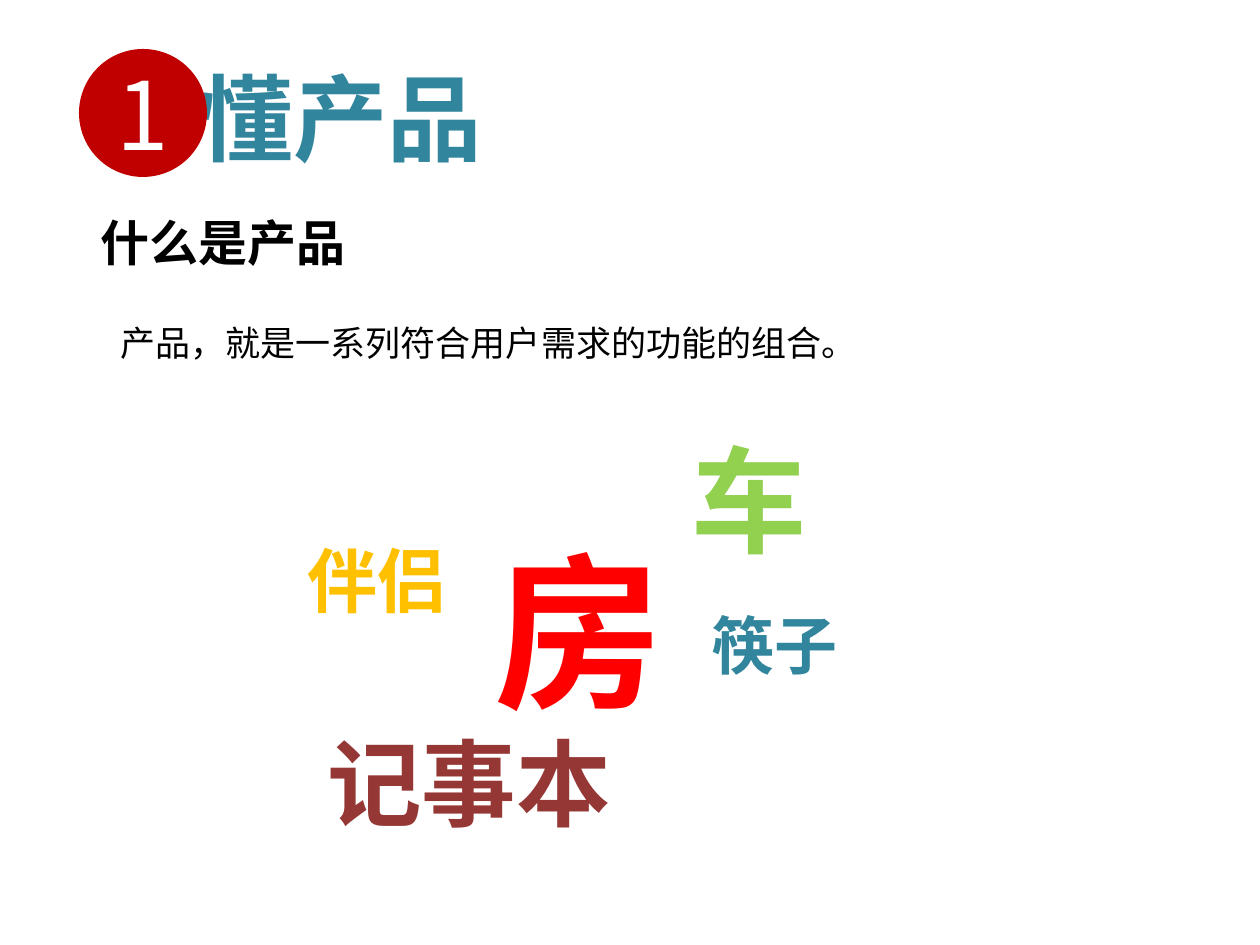
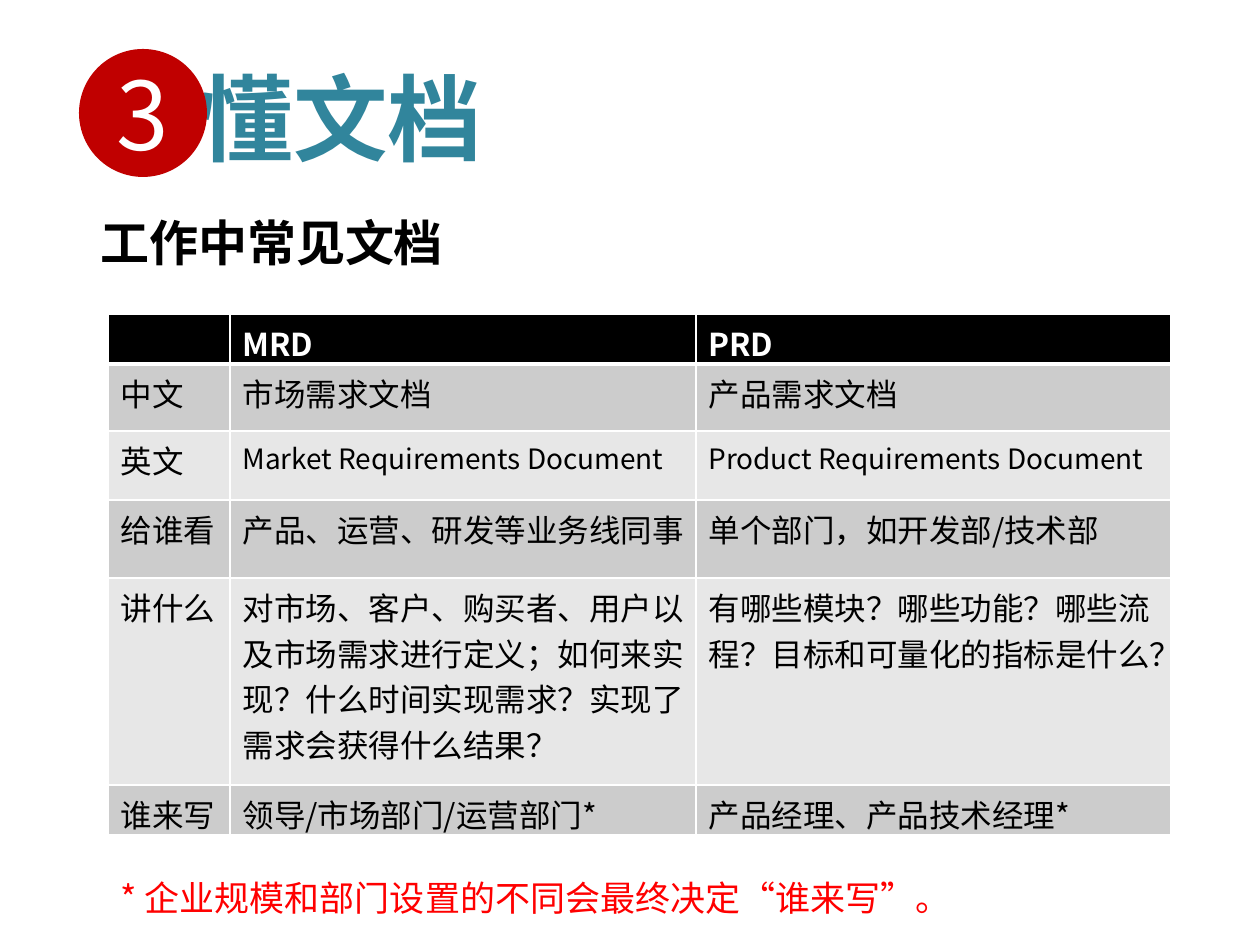
import lxml.etree
import pptx
import pptx.dml.color
import pptx.enum.shapes
import pptx.enum.text
import pptx.oxml.ns
import pptx.util

RGB = pptx.dml.color.RGBColor
TEAL = RGB(0x31, 0x85, 0x9C)
CRIMSON = RGB(0xC0, 0x00, 0x00)
RED = RGB(0xFF, 0x00, 0x00)
GREEN = RGB(0x92, 0xD0, 0x50)
AMBER = RGB(0xFF, 0xC0, 0x00)
MAROON = RGB(0x95, 0x37, 0x35)
BLACK = RGB(0x00, 0x00, 0x00)
WHITE = RGB(0xFF, 0xFF, 0xFF)
BAND_DARK = RGB(0xCC, 0xCC, 0xCC)
BAND_LIGHT = RGB(0xE7, 0xE7, 0xE7)

FONT = "Noto Sans CJK SC"
PX_PER_INCH = 126

WORDS = [
    ("房", (482, 521, 315, 217), 96, RED),
    ("车", (679, 423, 315, 152), 66, GREEN),
    ("伴侣", (295, 531, 315, 97), 40, AMBER),
    ("筷子", (699, 600, 315, 89), 36, TEAL),
    ("记事本", (315, 719, 433, 127), 54, MAROON),
]

DOCUMENTS = [
    ("", "MRD", "PRD"),
    ("中文", "市场需求文档", "产品需求文档"),
    ("英文", "Market Requirements Document", "Product Requirements Document"),
    ("给谁看", "产品、运营、研发等业务线同事", "单个部门，如开发部/技术部"),
    ("讲什么",
     "对市场、客户、购买者、用户以及市场需求进行定义；如何来实现？"
     "什么时间实现需求？实现了需求会获得什么结果？",
     "有哪些模块？哪些功能？哪些流程？目标和可量化的指标是什么？"),
    ("谁来写", "领导/市场部门/运营部门*", "产品经理、产品技术经理*"),
]
COLUMN_WIDTHS = (122, 466, 475)
ROW_HEIGHTS = (50, 67, 69, 78, 207, 50)


def px(n):
    return pptx.util.Emu(round(n * 914400 / PX_PER_INCH))


def write(tf, text, size, color, bold=False):
    """Set one paragraph of text in the shared font, Latin and East Asian."""
    tf.text = text
    for r in tf.paragraphs[0].runs:
        r.font.name = FONT
        r.font.size = pptx.util.Pt(size)
        r.font.bold = bold
        r.font.color.rgb = color
        ea = lxml.etree.SubElement(r.font._element, pptx.oxml.ns.qn("a:ea"))
        ea.set("typeface", FONT)


def add_text(s, box, text, size, color, bold=False):
    tf = s.shapes.add_textbox(*map(px, box)).text_frame
    tf.word_wrap = True
    tf.auto_size = pptx.enum.text.MSO_AUTO_SIZE.SHAPE_TO_FIT_TEXT
    write(tf, text, size, color, bold)
    return tf


def add_heading(s, box, number, title, subtitle):
    """Numbered disc, large title beside it and the subtitle below."""
    x, y, w, h = box
    tf = add_text(s, box, title, 54, TEAL, True)
    tf.auto_size = pptx.enum.text.MSO_AUTO_SIZE.NONE
    tf.vertical_anchor = pptx.enum.text.MSO_ANCHOR.MIDDLE
    tf.margin_left = px(136)

    disc = s.shapes.add_shape(pptx.enum.shapes.MSO_SHAPE.OVAL,
                              px(x + 16), px(y + 11), px(128), px(128))
    disc.shadow.inherit = False
    disc.fill.solid()
    disc.fill.fore_color.rgb = CRIMSON
    disc.line.fill.background()
    tf = disc.text_frame
    tf.vertical_anchor = pptx.enum.text.MSO_ANCHOR.MIDDLE
    write(tf, number, 54, WHITE)
    tf.paragraphs[0].alignment = pptx.enum.text.PP_ALIGN.CENTER

    add_text(s, (x + 25, y + 168, w - 31, 72), subtitle, 28, BLACK, True)


def set_borders(cell, widths):
    """Give a cell white borders; widths maps a side (L, R, T, B) to points."""
    tc_pr = cell._tc.get_or_add_tcPr()
    for i, (side, width) in enumerate(widths.items()):
        ln = lxml.etree.Element(pptx.oxml.ns.qn("a:ln" + side))
        ln.set("w", str(pptx.util.Pt(width)))
        fill = lxml.etree.SubElement(ln, pptx.oxml.ns.qn("a:solidFill"))
        color = lxml.etree.SubElement(fill, pptx.oxml.ns.qn("a:srgbClr"))
        color.set("val", str(WHITE))
        tc_pr.insert(i, ln)


def add_document_table(s, x, y):
    table = s.shapes.add_table(
        len(DOCUMENTS), len(COLUMN_WIDTHS), px(x), px(y),
        px(sum(COLUMN_WIDTHS)), px(sum(ROW_HEIGHTS))).table
    for column, width in zip(table.columns, COLUMN_WIDTHS):
        column.width = px(width)
    for i, (row, height, texts) in enumerate(
            zip(table.rows, ROW_HEIGHTS, DOCUMENTS)):
        row.height = px(height)
        header = i == 0
        band = BLACK if header else BAND_DARK if i % 2 else BAND_LIGHT
        for cell, text in zip(row.cells, texts):
            cell.margin_right = px(8)
            cell.margin_bottom = 0
            cell.fill.solid()
            cell.fill.fore_color.rgb = band
            set_borders(cell, {"L": 1, "R": 1, "T": 3 if i == 1 else 1,
                               "B": 3 if header else 1})
            size = 16 if text.endswith("Document") else 18
            write(cell.text_frame, text, size,
                  WHITE if header else BLACK, header)


def add_product_slide(s, heading_box):
    add_heading(s, heading_box, "1", "懂产品", "什么是产品")
    add_text(s, (108, 315, 984, 55),
             "产品，就是一系列符合用户需求的功能的组合。", 20, BLACK)
    for text, box, size, color in WORDS:
        add_text(s, box, text, size, color, True)


def add_document_slide(s, heading_box):
    add_heading(s, heading_box, "3", "懂文档", "工作中常见文档")
    add_document_table(s, 108, 314)
    add_text(s, (108, 870, 1043, 55),
             "* 企业规模和部门设置的不同会最终决定“谁来写”。", 20, RED)


def main():
    prs = pptx.Presentation()
    prs.slide_width, prs.slide_height = px(1260), px(945)
    blank = prs.slide_layouts[6]
    heading_box = (63, 38, 1134, 157)
    for add_content in (add_product_slide, add_document_slide):
        add_content(prs.slides.add_slide(blank), heading_box)
    prs.save("out.pptx")


if __name__ == "__main__":
    main()
